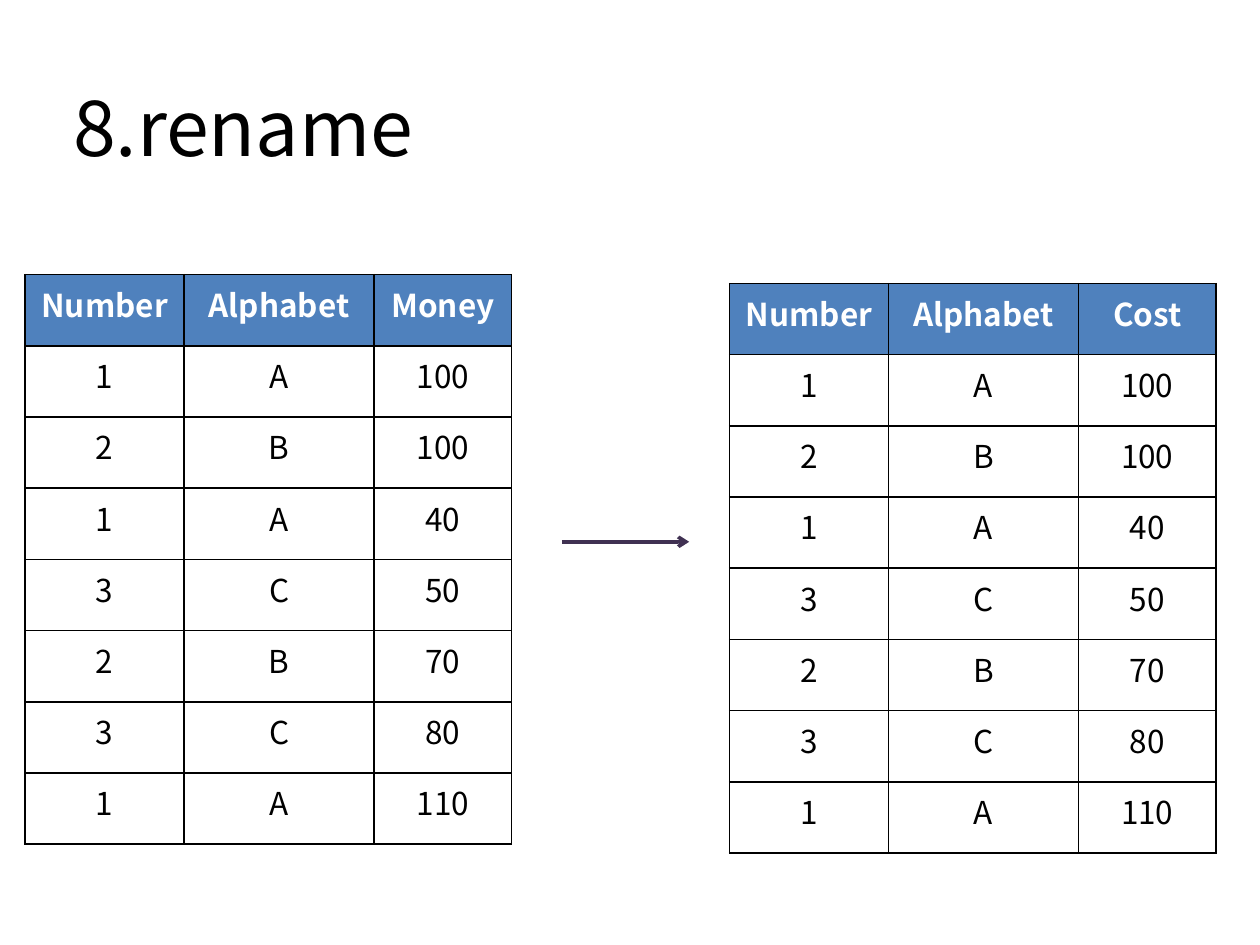
from lxml.etree import SubElement
from pptx import Presentation
from pptx.dml.color import RGBColor
from pptx.enum.shapes import MSO_CONNECTOR
from pptx.enum.text import MSO_ANCHOR, PP_ALIGN
from pptx.oxml.ns import qn
from pptx.util import Inches, Pt

FONT = "Noto Sans CJK KR"
BLACK, WHITE, BLUE, PURPLE = "000000", "FFFFFF", "4F81BD", "403152"
COL_WIDTHS = (1.26, 1.51, 1.09)
TABLE_HEIGHT = 4.52
RECORDS = [
    (1, "A", 100),
    (2, "B", 100),
    (1, "A", 40),
    (3, "C", 50),
    (2, "B", 70),
    (3, "C", 80),
    (1, "A", 110),
]


def color(hex_value):
    return RGBColor.from_string(hex_value)


def add_run(p, text, size, hex_value, bold=False):
    r = p.add_run()
    r.text = text
    r.font.name = FONT
    r.font.size = Pt(size)
    r.font.bold = bold
    r.font.color.rgb = color(hex_value)


def add_title(s, text):
    sp = s.shapes.title
    sp.left, sp.top = Inches(0.48), Inches(0.52)
    sp.width, sp.height = Inches(9), Inches(0.95)
    tf = sp.text_frame
    tf.word_wrap = True
    tf.vertical_anchor = MSO_ANCHOR.MIDDLE
    p = tf.paragraphs[0]
    p.alignment = PP_ALIGN.LEFT
    add_run(p, text, 44, BLACK)


def set_borders(cell):
    tc_pr = cell._tc.get_or_add_tcPr()
    for side in ("lnL", "lnR", "lnT", "lnB"):
        ln = SubElement(tc_pr, qn(f"a:{side}"), w=str(Pt(1)))
        fill = SubElement(ln, qn("a:solidFill"))
        SubElement(fill, qn("a:srgbClr"), val=BLACK)


def fill_cell(cell, value, header):
    set_borders(cell)
    if header:
        cell.fill.solid()
        cell.fill.fore_color.rgb = color(BLUE)
    else:
        cell.fill.background()
    p = cell.text_frame.paragraphs[0]
    p.alignment = PP_ALIGN.CENTER
    add_run(p, str(value), 18, WHITE if header else BLACK, bold=header)


def add_data_table(s, left, top, headers):
    rows = [headers, *RECORDS]
    frame = s.shapes.add_table(
        len(rows), len(headers), Inches(left), Inches(top),
        Inches(sum(COL_WIDTHS)), Inches(TABLE_HEIGHT))
    table = frame.table
    table.horz_banding = False
    for column, width in zip(table.columns, COL_WIDTHS):
        column.width = Inches(width)
    for i, values in enumerate(rows):
        for j, value in enumerate(values):
            fill_cell(table.cell(i, j), value, header=i == 0)


def add_arrow(s, x1, x2, y):
    arrow = s.shapes.add_connector(
        MSO_CONNECTOR.STRAIGHT, Inches(x1), Inches(y), Inches(x2), Inches(y))
    arrow.line.color.rgb = color(PURPLE)
    arrow.line.width = Pt(2)
    SubElement(arrow.line._get_or_add_ln(), qn("a:tailEnd"), type="arrow")
    SubElement(arrow._element.spPr, qn("a:effectLst"))


def main():
    prs = Presentation()
    prs.slide_width, prs.slide_height = Inches(10), Inches(7.5)
    s = prs.slides.add_slide(prs.slide_layouts[5])  # title only

    add_title(s, "8.rename")

    # Before and after renaming the last column
    add_data_table(s, 0.2, 2.18, ("Number", "Alphabet", "Money"))
    add_arrow(s, 4.46, 5.47, 4.3)
    add_data_table(s, 5.79, 2.25, ("Number", "Alphabet", "Cost"))

    prs.save("out.pptx")


if __name__ == "__main__":
    main()
